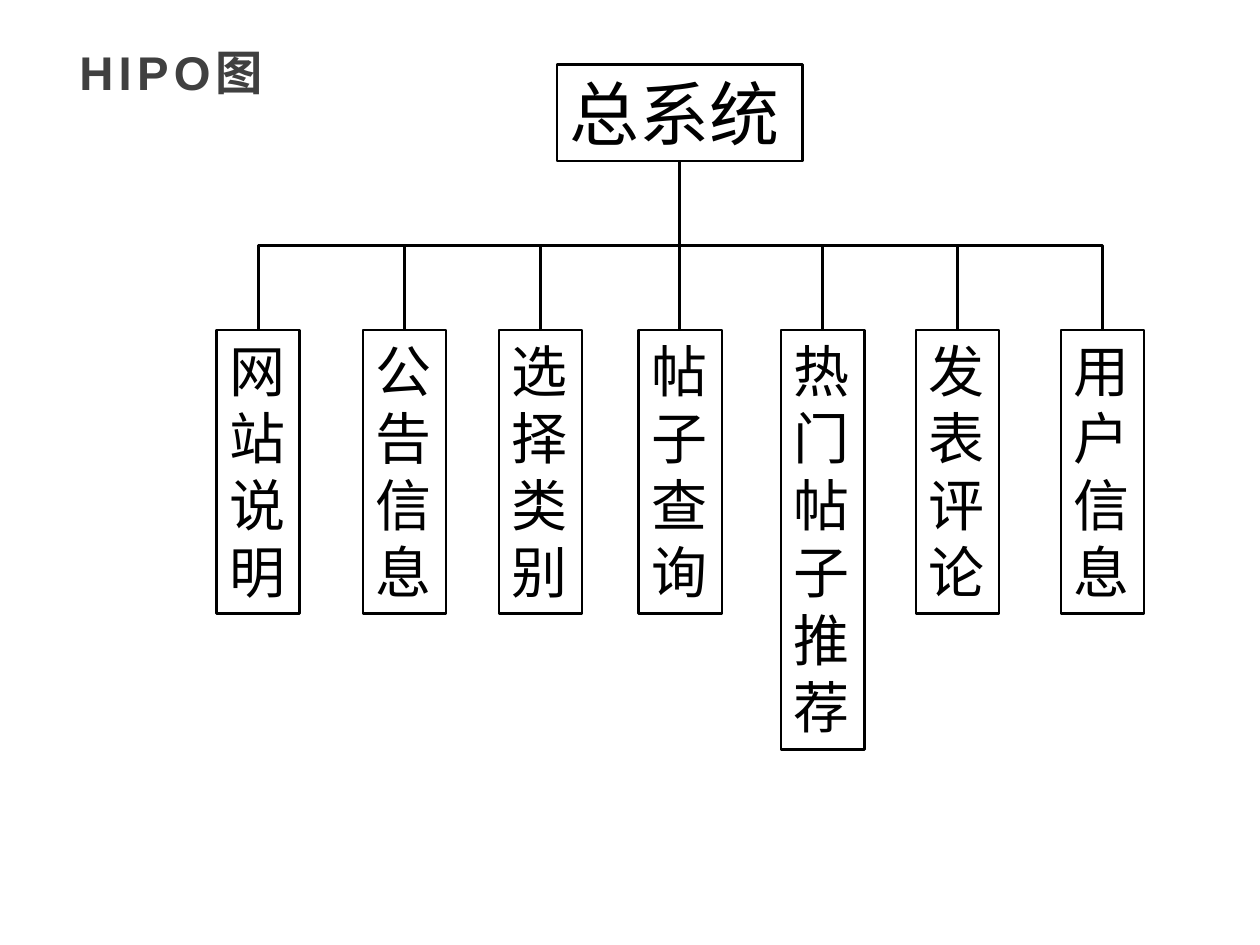
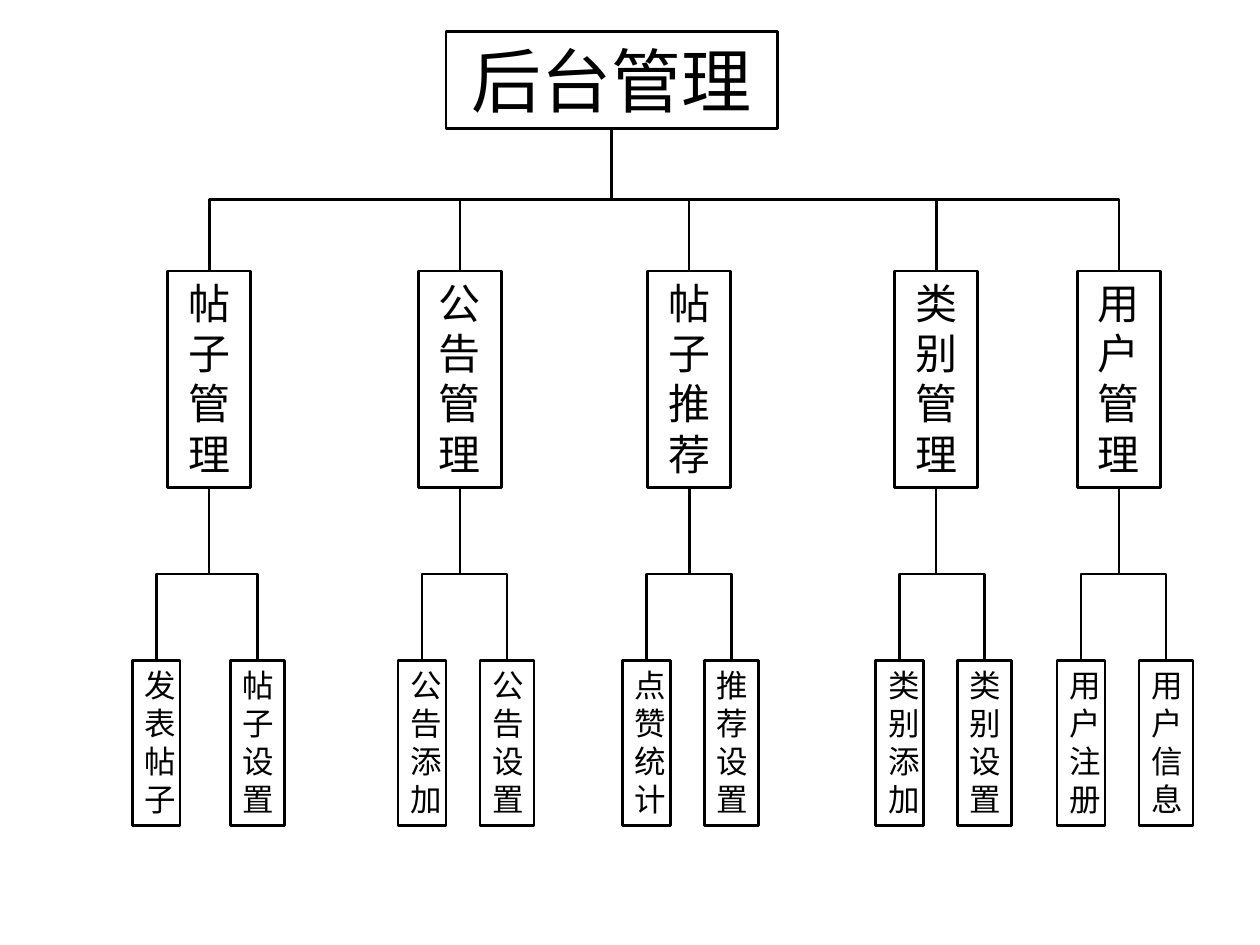
from lxml import etree
from pptx import Presentation
from pptx.dml.color import RGBColor
from pptx.enum.shapes import MSO_CONNECTOR, MSO_SHAPE
from pptx.enum.text import MSO_ANCHOR, MSO_AUTO_SIZE, PP_ALIGN
from pptx.oxml.ns import qn
from pptx.util import Inches, Pt

# Shared look
BLACK = RGBColor(0x00, 0x00, 0x00)
WHITE = RGBColor(0xFF, 0xFF, 0xFF)
TITLE_GRAY = RGBColor(0x40, 0x40, 0x40)
FONT = "Arial"
LINE_WIDTH = Pt(1.5)

# The slide is a grid of 100 columns by 75 rows
SLIDE_WIDTH, SLIDE_HEIGHT = Inches(10), Inches(7.5)
COLUMN, ROW = SLIDE_WIDTH / 100, SLIDE_HEIGHT / 75

TITLE_ONLY, BLANK = 5, 6
ROOT_SIZE, ROOT_ROWS = 40, 7.7
MODULE_COLUMNS = 6.6

# Overall system: module, left column, height in rows
SYSTEM_TOP = 26.2
SYSTEM_MODULES = [
    ("网站说明", 17.2, 22.5),
    ("公告信息", 28.8, 22.5),
    ("选择类别", 39.6, 22.5),
    ("帖子查询", 50.7, 22.5),
    ("热门帖子推荐", 62, 33.3),
    ("发表评论", 72.7, 22.5),
    ("用户信息", 84.2, 22.5),
]

# Back office: module, left column, and its functions with their left columns
ADMIN_TOP, ADMIN_ROWS = 21.5, 17.2
FUNCTION_TOP, FUNCTION_ROWS = 52.4, 13.1
FUNCTION_COLUMNS = (3.8, 4.3)
ADMIN_MODULES = [
    ("帖子管理", 13.3, [("发表帖子", 10.5), ("帖子设置", 18.3)]),
    ("公告管理", 33.2, [("公告添加", 31.6), ("公告设置", 38.1)]),
    ("帖子推荐", 51.4, [("点赞统计", 49.4), ("推荐设置", 55.9)]),
    ("类别管理", 71, [("类别添加", 69.5), ("类别设置", 76)]),
    ("用户管理", 85.5, [("用户注册", 83.9), ("用户信息", 90.4)]),
]


def across(columns):
    return round(columns * COLUMN)


def down(rows):
    return round(rows * ROW)


def add_run(paragraph, text, size, color, bold=False):
    run = paragraph.add_run()
    run.text = text
    run.font.name = FONT
    run.font.size = Pt(size)
    run.font.bold = bold
    run.font.color.rgb = color
    return run


def add_title(slide, text):
    title = slide.shapes.title
    title.left, title.top = across(5.5), down(3.1)
    title.width, title.height = across(29.8), down(5.1)
    frame = title.text_frame
    frame.auto_size = MSO_AUTO_SIZE.NONE
    frame.word_wrap = True
    frame.vertical_anchor = MSO_ANCHOR.MIDDLE
    frame.margin_left, frame.margin_right = Inches(0.08), Inches(0.05)
    frame.margin_top = frame.margin_bottom = Inches(0.03)
    paragraph = frame.paragraphs[0]
    paragraph.alignment = PP_ALIGN.LEFT
    run = add_run(paragraph, text, 27, TITLE_GRAY, bold=True)
    run.font._element.set("spc", "300")


def add_box(slide, text, left, top, columns, rows, size, align=PP_ALIGN.CENTER):
    box = slide.shapes.add_shape(
        MSO_SHAPE.RECTANGLE, across(left), down(top), across(columns), down(rows))
    box.shadow.inherit = False
    box.fill.background()
    box.line.color.rgb = BLACK
    box.line.width = LINE_WIDTH
    frame = box.text_frame
    frame.word_wrap = True
    frame.auto_size = MSO_AUTO_SIZE.SHAPE_TO_FIT_TEXT
    frame.vertical_anchor = MSO_ANCHOR.TOP
    paragraph = frame.paragraphs[0]
    paragraph.alignment = align
    add_run(paragraph, text, size, BLACK)
    return box


def link(slide, parent, child):
    """Join the foot of the parent to the head of the child, bending halfway."""
    start_x, start_y = parent.left + parent.width // 2, parent.top + parent.height
    end_x, end_y = child.left + child.width // 2, child.top
    shift, drop = end_x - start_x, end_y - start_y
    if abs(shift) < COLUMN / 5:
        branch = slide.shapes.add_connector(
            MSO_CONNECTOR.STRAIGHT, start_x, start_y, start_x, end_y)
    else:
        # Lay the elbow on its side around its centre, then turn it upright
        middle_x, middle_y = (start_x + end_x) // 2, (start_y + end_y) // 2
        branch = slide.shapes.add_connector(
            MSO_CONNECTOR.ELBOW,
            middle_x - drop // 2, middle_y + shift // 2,
            middle_x + drop // 2, middle_y - shift // 2)
        branch.rotation = 90
    branch.line.color.rgb = BLACK
    branch.line.width = LINE_WIDTH
    etree.SubElement(branch._element.spPr, qn("a:effectLst"))


def new_slide(deck, layout):
    slide = deck.slides.add_slide(deck.slide_layouts[layout])
    slide.background.fill.solid()
    slide.background.fill.fore_color.rgb = WHITE
    return slide


def build_system_slide(deck):
    slide = new_slide(deck, TITLE_ONLY)
    add_title(slide, "HIPO图")
    system = add_box(slide, "总系统", 44.2, 5.1, 19.5, ROOT_ROWS, ROOT_SIZE, PP_ALIGN.LEFT)
    for name, left, rows in SYSTEM_MODULES:
        module = add_box(
            slide, name, left, SYSTEM_TOP, MODULE_COLUMNS, rows, 32, PP_ALIGN.LEFT)
        link(slide, system, module)


def build_admin_slide(deck):
    slide = new_slide(deck, BLANK)
    admin = add_box(slide, "后台管理", 35.4, 2.5, 26.3, ROOT_ROWS, ROOT_SIZE)
    for name, left, functions in ADMIN_MODULES:
        module = add_box(slide, name, left, ADMIN_TOP, MODULE_COLUMNS, ADMIN_ROWS, 24)
        link(slide, admin, module)
        for (label, function_left), columns in zip(functions, FUNCTION_COLUMNS):
            function = add_box(
                slide, label, function_left, FUNCTION_TOP, columns, FUNCTION_ROWS, 18)
            link(slide, module, function)


def main():
    deck = Presentation()
    deck.slide_width, deck.slide_height = SLIDE_WIDTH, SLIDE_HEIGHT
    build_system_slide(deck)
    build_admin_slide(deck)
    deck.save("out.pptx")


if __name__ == "__main__":
    main()
